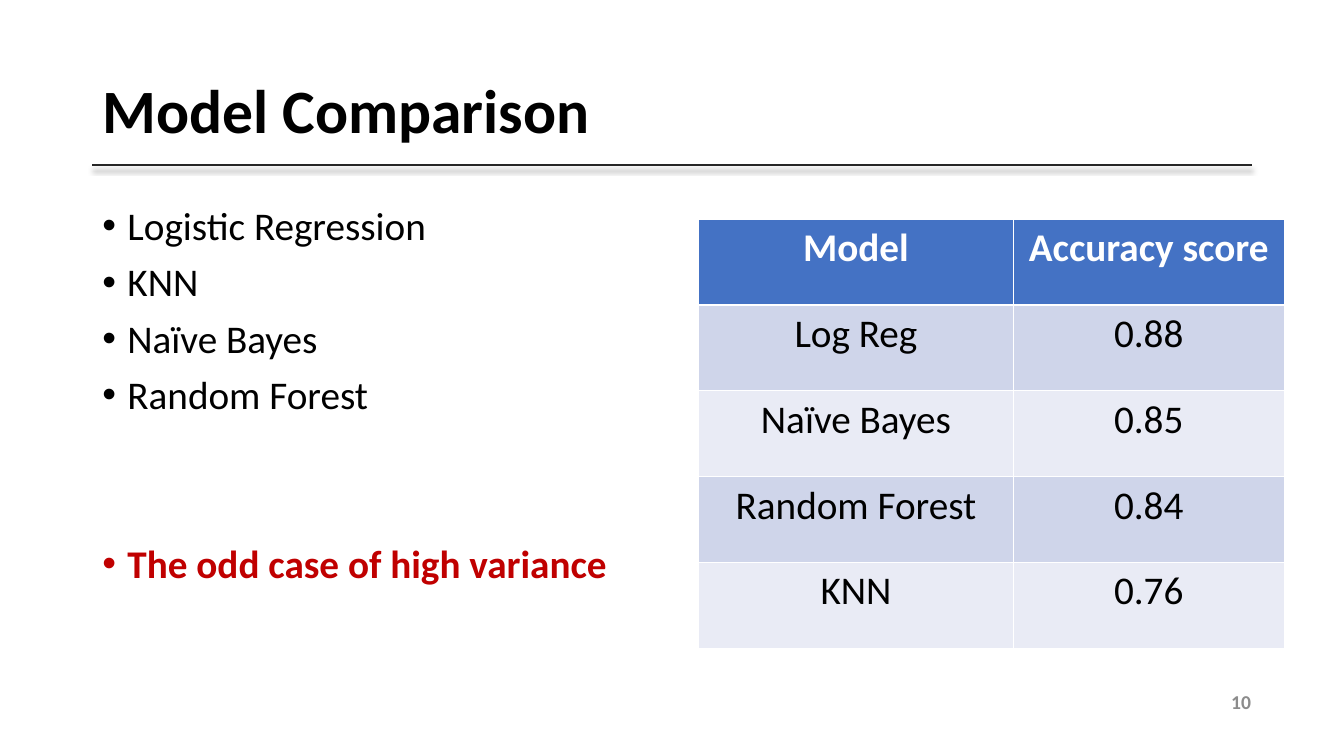
from dataclasses import dataclass

from lxml import etree
from pptx import Presentation
from pptx.dml.color import RGBColor
from pptx.enum.shapes import MSO_CONNECTOR
from pptx.enum.text import MSO_ANCHOR, PP_ALIGN
from pptx.oxml import parse_xml
from pptx.oxml.ns import nsdecls, qn
from pptx.util import Pt

TITLE = "Model Comparison"
MODELS = ["Logistic Regression", "KNN", "Naïve Bayes", "Random Forest"]
FINDING = "The odd case of high variance"
SCORES = [
    ("Model", "Accuracy score"),
    ("Log Reg", "0.88"),
    ("Naïve Bayes", "0.85"),
    ("Random Forest", "0.84"),
    ("KNN", "0.76"),
]
PAGE = "10"


@dataclass(frozen=True)
class Theme:
    font: str = "Calibri"
    title_size: int = 44
    body_size: int = 28
    page_size: int = 14
    ink: str = "000000"
    accent: str = "C00000"
    muted: str = "8C8C8C"
    rule: str = "262626"
    header_ink: str = "FFFFFF"
    header_fill: str = "4472C4"
    bands: tuple = ("CFD5EA", "E9EBF5")


THEME = Theme()

# Left, top, width, height in points
SLIDE_SIZE = (960, 540)
TITLE_BOX = (66, 28.8, 828, 104.4)
LIST_BOX = (66, 144, 828, 342.72)
PAGE_BOX = (684.72, 486.72, 216, 28.8)
TABLE_AT = (499, 156.6)
COLUMN_WIDTHS = (224.8, 193.5)
ROW_HEIGHT = 61.3
RULE_Y = 117.6
LINE_SPACING = 0.9
BULLET_INDENT = 18
ITEM_GAP = 10
FINDING_GAP = 90.4


def points(values):
    return [Pt(value) for value in values]


def write(paragraph, text, size, color=THEME.ink, bold=False, **layout):
    run = paragraph.add_run()
    run.text = text
    run.font.color.rgb = RGBColor.from_string(color)
    for name, value in {"name": THEME.font, "size": Pt(size), "bold": bold}.items():
        setattr(run.font, name, value)
    for name, value in layout.items():
        setattr(paragraph, name, value)


def add_bullet(paragraph):
    properties = paragraph._p.get_or_add_pPr()
    properties.set("marL", str(Pt(BULLET_INDENT)))
    properties.set("indent", str(-Pt(BULLET_INDENT)))
    etree.SubElement(properties, qn("a:buFont")).set("typeface", "Arial")
    etree.SubElement(properties, qn("a:buChar")).set("char", "•")


def add_title(slide):
    title = slide.shapes.title
    title.left, title.top, title.width, title.height = points(TITLE_BOX)
    title.text_frame.vertical_anchor = MSO_ANCHOR.MIDDLE
    write(title.text_frame.paragraphs[0], TITLE, THEME.title_size, bold=True,
          alignment=PP_ALIGN.LEFT, line_spacing=LINE_SPACING)


def add_rule(slide):
    left, _, width, _ = TITLE_BOX
    ends = points((left, RULE_Y, left + width, RULE_Y))
    rule = slide.shapes.add_connector(MSO_CONNECTOR.STRAIGHT, *ends)
    rule.line.width = Pt(1.5)
    rule.line.color.rgb = RGBColor.from_string(THEME.rule)
    rule._element.spPr.append(parse_xml(
        f'<a:effectLst {nsdecls("a")}>'
        f'<a:outerShdw blurRad="{Pt(4)}" dist="{Pt(3)}" dir="5400000" rotWithShape="0">'
        f'<a:srgbClr val="{THEME.ink}"><a:alpha val="40000"/></a:srgbClr>'
        '</a:outerShdw></a:effectLst>'))


def add_text_frame(slide, box):
    frame = slide.shapes.add_textbox(*points(box)).text_frame
    frame.word_wrap = True
    return frame


def add_list(slide):
    frame = add_text_frame(slide, LIST_BOX)
    items = [(model, THEME.ink, False, ITEM_GAP) for model in MODELS]
    items.append((FINDING, THEME.accent, True, FINDING_GAP))
    for index, (text, color, bold, gap) in enumerate(items):
        paragraph = frame.add_paragraph() if index else frame.paragraphs[0]
        write(paragraph, text, THEME.body_size, color, bold,
              line_spacing=LINE_SPACING, space_before=Pt(gap))
        add_bullet(paragraph)


def add_scores(slide):
    size = (sum(COLUMN_WIDTHS), ROW_HEIGHT * len(SCORES))
    table = slide.shapes.add_table(
        len(SCORES), len(COLUMN_WIDTHS), *points(TABLE_AT + size)).table
    for column, width in zip(table.columns, COLUMN_WIDTHS):
        column.width = Pt(width)
    for row_index, values in enumerate(SCORES):
        table.rows[row_index].height = Pt(ROW_HEIGHT)
        header = row_index == 0
        fill = THEME.header_fill if header else THEME.bands[(row_index - 1) % 2]
        ink = THEME.header_ink if header else THEME.ink
        for column_index, value in enumerate(values):
            cell = table.cell(row_index, column_index)
            cell.fill.solid()
            cell.fill.fore_color.rgb = RGBColor.from_string(fill)
            write(cell.text_frame.paragraphs[0], value, THEME.body_size, ink,
                  header, alignment=PP_ALIGN.CENTER)


def add_page_number(slide):
    frame = add_text_frame(slide, PAGE_BOX)
    frame.vertical_anchor = MSO_ANCHOR.MIDDLE
    write(frame.paragraphs[0], PAGE, THEME.page_size, THEME.muted, True,
          alignment=PP_ALIGN.RIGHT)


def main():
    deck = Presentation()
    deck.slide_width, deck.slide_height = points(SLIDE_SIZE)
    slide = deck.slides.add_slide(deck.slide_layouts.get_by_name("Title Only"))
    for add_part in (add_rule, add_title, add_list, add_page_number, add_scores):
        add_part(slide)
    deck.save("out.pptx")


if __name__ == "__main__":
    main()
